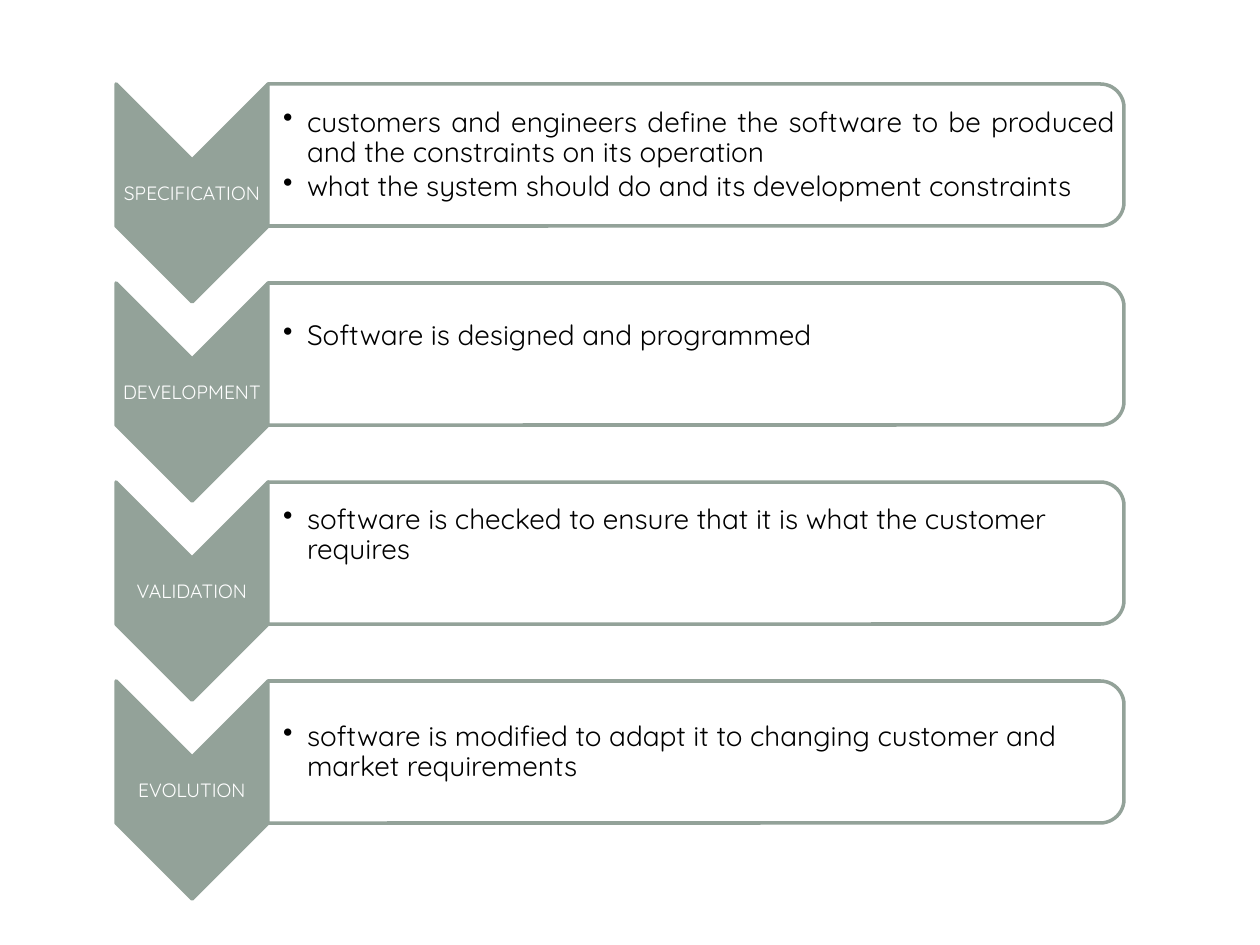
from dataclasses import dataclass

from lxml.etree import SubElement
from pptx import Presentation
from pptx.dml.color import RGBColor
from pptx.enum.shapes import MSO_SHAPE
from pptx.enum.text import MSO_ANCHOR, PP_ALIGN
from pptx.oxml.ns import qn
from pptx.util import Emu, Pt

COLORS = {"sage": "93A299", "white": "FFFFFF", "black": "000000"}
FONT = "Quicksand"
EMU_PER_PX = 914400 / 126

# Geometry of the rows, in px
PITCH = 199
TOP = 84
ARROW_LEFT, ARROW_WIDTH, ARROW_HEIGHT = 116, 152, 218
PANEL_LEFT, PANEL_WIDTH, PANEL_HEIGHT = 268, 856, 142
TEXT_WIDTH, TEXT_HEIGHT, TEXT_DROP = 848, 129, 7
LABEL_HEIGHT, LABEL_DROP = 66, 77
HANGING = 24


@dataclass
class Stage:
    label: str
    points: list[str]
    align: PP_ALIGN = PP_ALIGN.LEFT
    bottom: int = 1  # bottom margin of the text, px


STAGES = [
    Stage("SPECIFICATION", [
        "customers and engineers define the software to be produced "
        "and the constraints on its operation",
        "what the system should do and its development constraints",
    ], align=PP_ALIGN.JUSTIFY),
    Stage("DEVELOPMENT", ["Software is designed and programmed"], bottom=37),
    Stage("VALIDATION", [
        "software is checked to ensure that it is what the customer requires",
    ], bottom=37),
    Stage("EVOLUTION", [
        "software is modified to adapt it to changing customer "
        "and market requirements",
    ]),
]


def px(value: float) -> Emu:
    return Emu(round(value * EMU_PER_PX))


def color(name: str) -> RGBColor:
    return RGBColor.from_string(COLORS[name])


def set_values(target, values: dict) -> None:
    for name, value in values.items():
        setattr(target, name, value)


def add_turned_shape(page, kind, left: int, top: int, width: int,
                     height: int, fill: str) -> None:
    """Draw a shape turned by 90 degrees that fills the given upright area."""
    shape = page.shapes.add_shape(
        kind, px(left + (width - height) / 2), px(top + (height - width) / 2),
        px(height), px(width))
    shape.rotation = 90
    shape.shadow.inherit = False
    shape.fill.solid()
    shape.fill.fore_color.rgb = color(fill)
    shape.line.color.rgb = color("sage")
    shape.line.width = Pt(2)
    SubElement(shape.line.fill._xPr, qn("a:round"))


def add_text(page, left: int, top: int, width: int, height: int,
             lines: list[str], size: int, ink: str, align: PP_ALIGN,
             space_after: float, inset: int = 1, bottom: int = 1,
             bulleted: bool = False) -> None:
    box = page.shapes.add_textbox(px(left), px(top), px(width), px(height))
    frame = box.text_frame
    set_values(frame, {
        "word_wrap": True, "vertical_anchor": MSO_ANCHOR.MIDDLE,
        "margin_left": px(inset), "margin_right": px(1),
        "margin_top": px(1), "margin_bottom": px(bottom),
    })
    for index, line in enumerate(lines):
        para = frame.add_paragraph() if index else frame.paragraphs[0]
        if bulleted:
            properties = para._p.get_or_add_pPr()
            properties.set("marL", str(px(HANGING)))
            properties.set("indent", str(-px(HANGING)))
            SubElement(properties, qn("a:buChar"), char="•")
        set_values(para, {"alignment": align, "line_spacing": 0.9,
                          "space_after": Pt(space_after)})
        span = para.add_run()
        span.text = line
        set_values(span.font, {"name": FONT, "size": Pt(size)})
        span.font.color.rgb = color(ink)


def add_stage(page, stage: Stage, top: int) -> None:
    # Arrow and its label
    add_turned_shape(page, MSO_SHAPE.CHEVRON, ARROW_LEFT, top,
                     ARROW_WIDTH, ARROW_HEIGHT, "sage")
    add_text(page, ARROW_LEFT, top + LABEL_DROP, ARROW_WIDTH, LABEL_HEIGHT,
             [stage.label], 11, "white", PP_ALIGN.CENTER, 4)
    # Panel and its points
    add_turned_shape(page, MSO_SHAPE.ROUND_2_SAME_RECTANGLE, PANEL_LEFT, top,
                     PANEL_WIDTH, PANEL_HEIGHT, "white")
    add_text(page, PANEL_LEFT, top + TEXT_DROP, TEXT_WIDTH, TEXT_HEIGHT,
             stage.points, 16, "black", stage.align, 2.4,
             inset=15, bottom=stage.bottom, bulleted=True)


def main() -> None:
    deck = Presentation()
    deck.slide_width, deck.slide_height = px(1260), px(945)
    page = deck.slides.add_slide(deck.slide_layouts[6])
    for row, stage in enumerate(STAGES):
        add_stage(page, stage, TOP + row * PITCH)
    deck.save("out.pptx")


if __name__ == "__main__":
    main()
